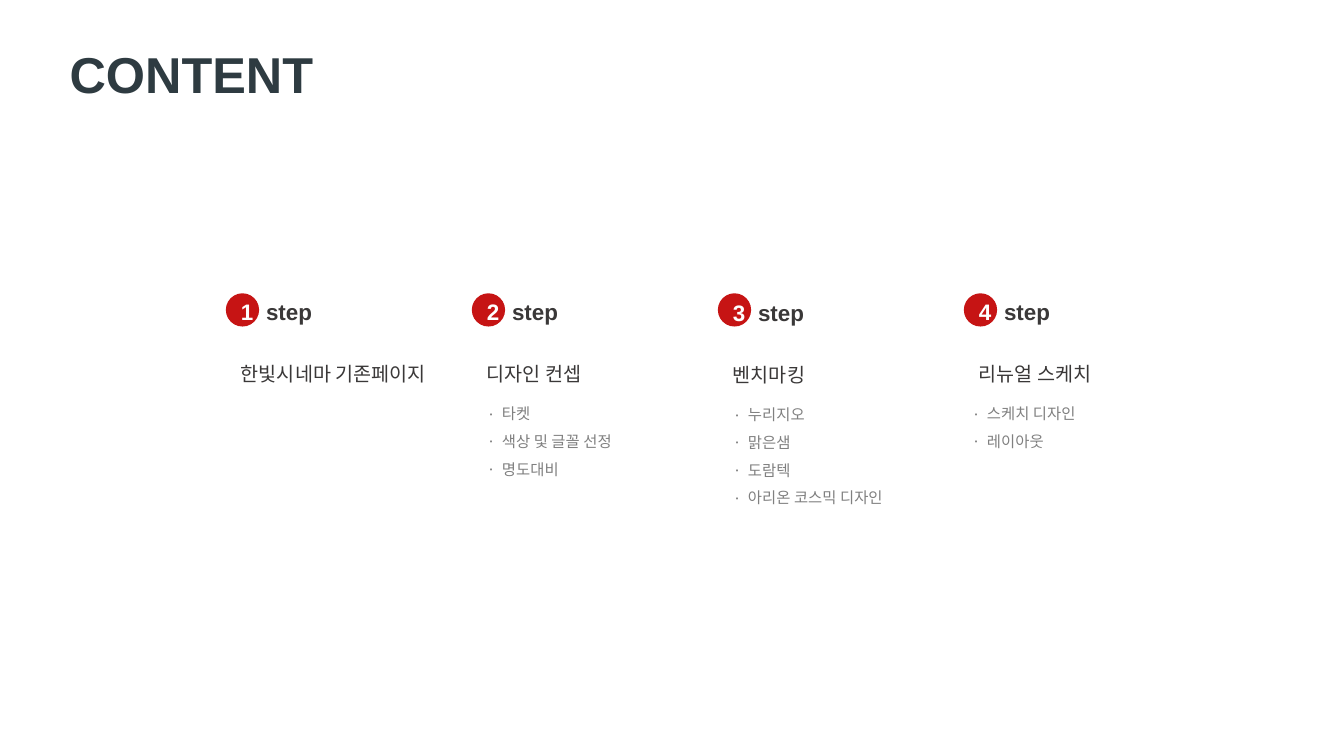
from pptx import Presentation
from pptx.dml.color import RGBColor
from pptx.enum.shapes import MSO_SHAPE as Shape
from pptx.enum.text import MSO_ANCHOR as Anchor, MSO_AUTO_SIZE as Fit, PP_ALIGN as Align
from pptx.oxml.ns import qn
from pptx.util import Inches, Pt
from lxml.etree import SubElement

LATIN = "Arial"
KOREAN = "Noto Sans CJK KR"
RED = "C61414"
WHITE = "FFFFFF"
SLATE = "2E3B41"
DARK = "3A3838"
GRAY = "808080"

STEPS = [
    ("한빛시네마 기존페이지", [], 0, 0),
    ("디자인 컨셉", ["타켓", "색상 및 글꼴 선정", "명도대비"], 0, 0),
    ("벤치마킹", ["누리지오", "맑은샘", "도람텍", "아리온 코스믹 디자인"], 0.01, 0),
    ("리뉴얼 스케치", ["스케치 디자인", "레이아웃"], 0, -0.07),
]


def color(code):
    return RGBColor.from_string(code)


def style(run, size, face, tone, bold=False):
    font = run.font
    font.size = Pt(size)
    font.bold = bold
    font.color.rgb = color(tone)
    font.name = face
    SubElement(font._element, qn("a:ea"), typeface=face)


def add_box(slide, left, top, width, height):
    box = slide.shapes.add_textbox(Inches(left), Inches(top), Inches(width), Inches(height))
    box.text_frame.word_wrap = True
    return box.text_frame


def add_tab(para, stop):
    tabs = SubElement(para._p.get_or_add_pPr(), qn("a:tabLst"))
    SubElement(tabs, qn("a:tab"), pos=str(Inches(stop)), algn="l")


def add_dot(para, indent):
    props = para._p.get_or_add_pPr()
    props.set("marL", str(Inches(indent)))
    props.set("indent", str(-Inches(indent)))
    SubElement(props, qn("a:buFont"), typeface=KOREAN)
    SubElement(props, qn("a:buChar"), char="·")


def add_title(slide, left, top, width, height):
    title = slide.shapes.title
    title.left, title.top = Inches(left), Inches(top)
    title.width, title.height = Inches(width), Inches(height)
    frame = title.text_frame
    frame.text = "CONTENT"
    frame.auto_size = Fit.NONE
    frame.word_wrap = False
    frame.vertical_anchor = Anchor.TOP
    para = frame.paragraphs[0]
    para.alignment = Align.LEFT
    style(para.runs[0], 36, LATIN, SLATE, True)


def add_badge(slide, left, top, drop, number):
    disc = slide.shapes.add_shape(
        Shape.OVAL, Inches(left), Inches(top), Inches(0.33), Inches(0.33))
    disc.shadow.inherit = False
    disc.fill.solid()
    disc.fill.fore_color.rgb = color(RED)
    disc.line.fill.background()
    para = add_box(slide, left + 0.05, top + drop, 1.29, 0.37).paragraphs[0]
    add_tab(para, 0.25)
    for text, tone in ((str(number), WHITE), ("\tstep", DARK)):
        run = para.add_run()
        run.text = text
        style(run, 16, LATIN, tone, True)


def add_list(slide, left, top, width, items):
    frame = add_box(slide, left, top, width, 0.1 + 0.3 * len(items))
    frame.text = "\n".join(items)
    for para in frame.paragraphs:
        para.line_spacing = 1.5
        add_dot(para, 0.15)
        style(para.runs[0], 11, KOREAN, GRAY)


def add_step(slide, left, top, number, name, items, drop, shift):
    add_badge(slide, left, top, drop, number)
    frame = add_box(slide, left + 0.05, top + 0.63 + drop, 2.25, 0.34)
    frame.text = name
    style(frame.paragraphs[0].runs[0], 14, KOREAN, DARK)
    if items:
        add_list(slide, left + 0.05 + shift, top + 0.96 + drop, 2.36, items)


def main():
    deck = Presentation()
    deck.slide_width, deck.slide_height = Inches(13.33), Inches(7.5)
    slide = deck.slides.add_slide(deck.slide_layouts[5])
    add_title(slide, 0.59, 0.38, 2.64, 0.71)
    for index, step in enumerate(STEPS):
        add_step(slide, 2.24 + 2.44 * index, 2.91, index + 1, *step)
    deck.save("out.pptx")


if __name__ == "__main__":
    main()
